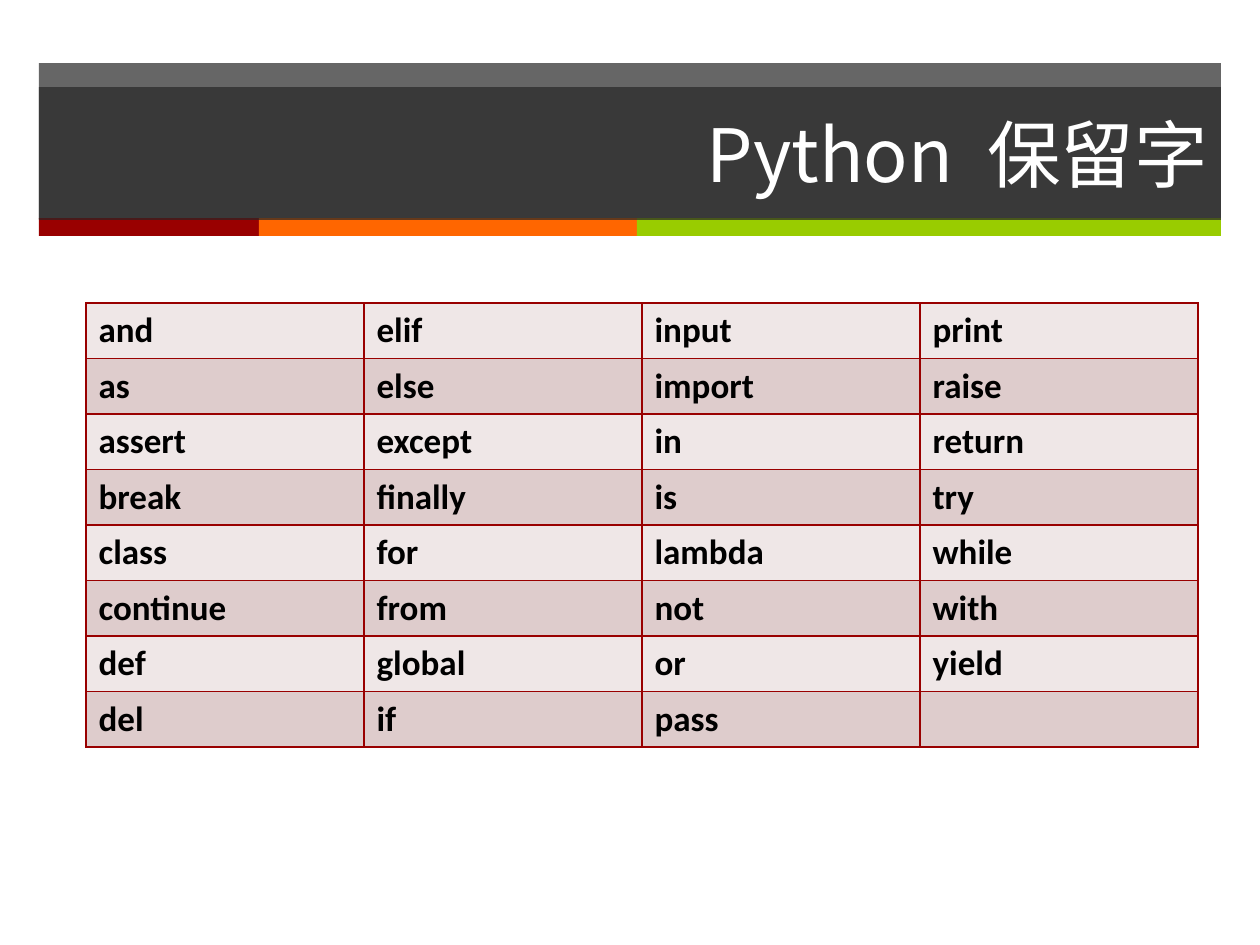
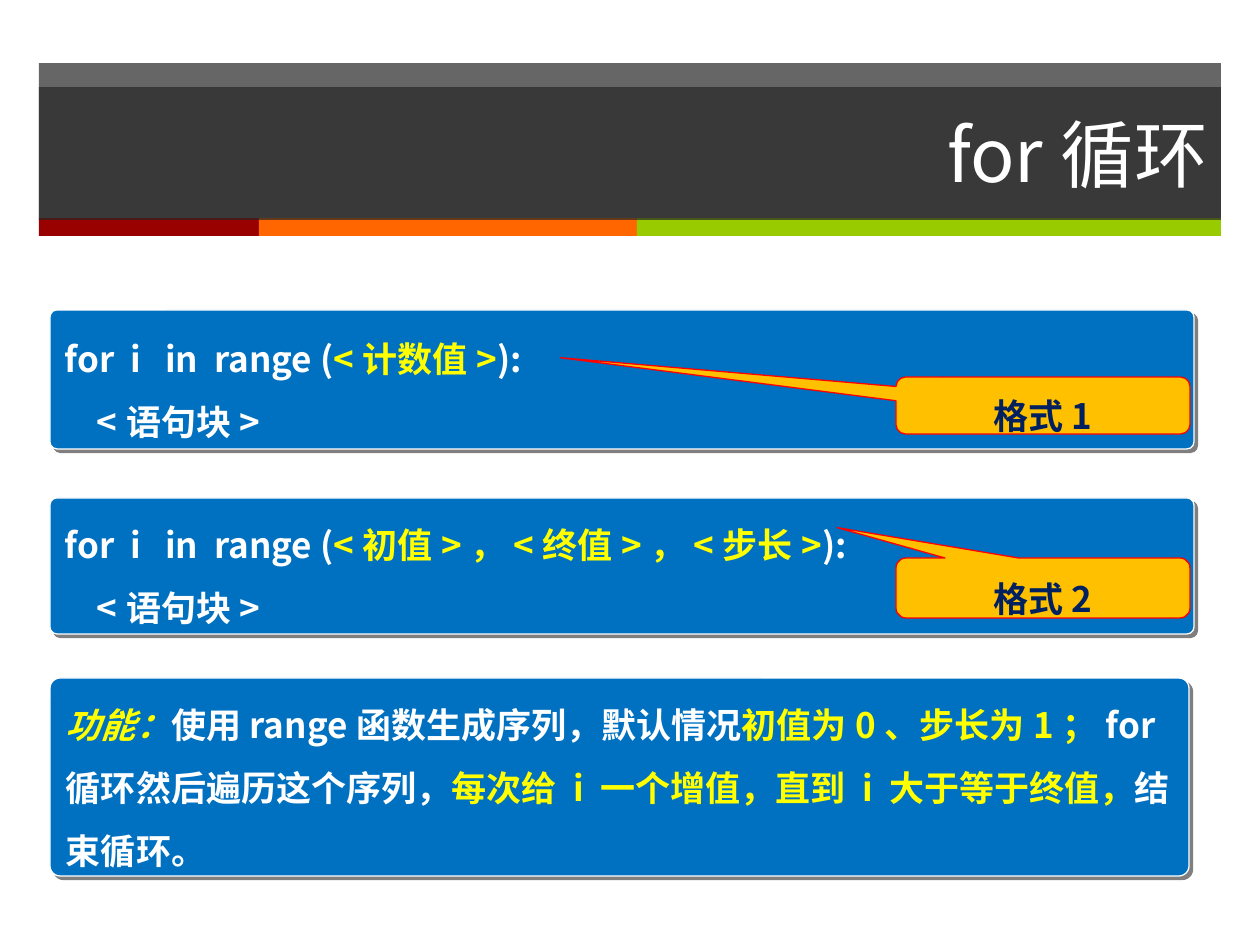
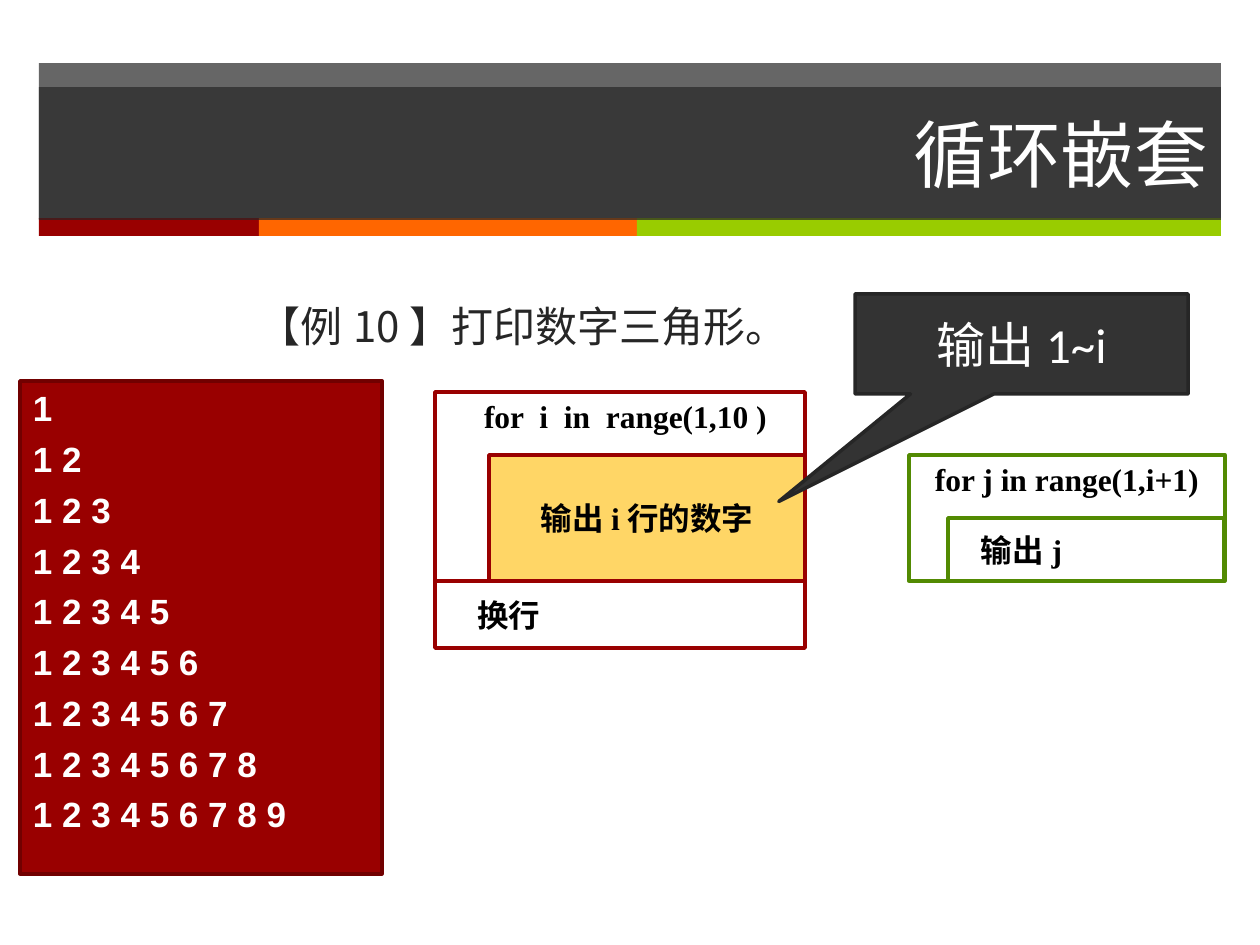
from lxml import etree
from pptx import Presentation
from pptx.dml.color import RGBColor
from pptx.enum.shapes import MSO_SHAPE
from pptx.enum.text import MSO_ANCHOR, PP_ALIGN
from pptx.oxml.ns import qn
from pptx.util import Pt

RECT = MSO_SHAPE.RECTANGLE
ROUNDED = MSO_SHAPE.ROUNDED_RECTANGLE
CALLOUT = MSO_SHAPE.RECTANGULAR_CALLOUT
ROUND_CALLOUT = MSO_SHAPE.ROUNDED_RECTANGULAR_CALLOUT
TOP, MIDDLE = MSO_ANCHOR.TOP, MSO_ANCHOR.MIDDLE
LEFT, CENTER, RIGHT = PP_ALIGN.LEFT, PP_ALIGN.CENTER, PP_ALIGN.RIGHT

EMU_PER_PX = 914400 / 126
CJK, SANS, ARIAL, SERIF = "Noto Sans CJK SC", "Calibri", "Arial", "Times New Roman"
COLORS = {
    "white": "FFFFFF", "black": "000000", "ink": "262626", "charcoal": "333333",
    "red": "990000", "dark red": "710000", "orange": "FF6600", "lime": "99CC00",
    "green": "528A02", "blue": "0070C0", "navy": "002060", "yellow": "FFFF00",
    "amber": "FFC000", "bright red": "FF0000", "sand": "FFD666",
    "light row": "EFE7E7", "dark row": "DECCCC",
}
STRIPS = [("red", 220), ("orange", 378), ("lime", 584)]
BAND_LEFT, BAND_WIDTH = 39, 1182


def px(n):
    return round(n * EMU_PER_PX)


def rgb(name):
    return RGBColor.from_string(COLORS[name])


def sub(parent, tag, **attrs):
    return etree.SubElement(parent, qn(tag), attrs)


class Deck:
    def __init__(self):
        self.prs = Presentation()
        self.prs.slide_width, self.prs.slide_height = px(1260), px(945)
        self.s = None

    def slide(self, title):
        """Start a slide with the shared title band and colour strips."""
        self.s = self.prs.slides.add_slide(self.prs.slide_layouts[6])
        self.box(BAND_LEFT, 63, BAND_WIDTH, 156, "ink", alpha=70)
        x = BAND_LEFT
        for color, w in STRIPS:
            self.box(x, 218, w, 18, color)
            x += w
        sp = self.box(BAND_LEFT, 87, BAND_WIDTH, 133, "ink", alpha=70)
        self.text(sp, [title], 42, "white", align=RIGHT)

    def box(self, x, y, w, h, fill, line=None, width=2, kind=RECT, adj=(), alpha=None):
        sp = self.s.shapes.add_shape(kind, px(x), px(y), px(w), px(h))
        sp.shadow.inherit = False
        for i, value in enumerate(adj):
            sp.adjustments[i] = value
        sp.fill.solid()
        sp.fill.fore_color.rgb = rgb(fill)
        if alpha:
            color = sp.fill._xPr.find(".//" + qn("a:srgbClr"))
            sub(color, "a:alpha", val=str(alpha * 1000))
        if line:
            sp.line.color.rgb = rgb(line)
            sp.line.width = Pt(width)
        else:
            sp.line.fill.background()
        return sp

    def text_box(self, x, y, w, h, *args, **style):
        sp = self.s.shapes.add_textbox(px(x), px(y), px(w), px(h))
        self.text(sp, *args, **style)

    def text(self, sp, paragraphs, size, color, font=CJK, bold=False, align=LEFT,
             anchor=MIDDLE, inset=(13, 6), spacing=None, before=0, indents=()):
        """Fill a shape; a paragraph is a string or a list of (text, colour, italic) runs."""
        tf = sp.text_frame
        tf.word_wrap = True
        tf.vertical_anchor = anchor
        tf.margin_left = tf.margin_right = px(inset[0])
        tf.margin_top = tf.margin_bottom = px(inset[1])
        for i, runs in enumerate(paragraphs):
            p = tf.paragraphs[0] if i == 0 else tf.add_paragraph()
            p.alignment = align
            p.space_before = Pt(before)
            if spacing:
                p.line_spacing = spacing
            if i < len(indents):
                p._p.get_or_add_pPr().set("marL", str(px(indents[i])))
            if isinstance(runs, str):
                runs = [(runs, color, False)]
            for content, run_color, italic in runs:
                r = p.add_run()
                r.text = content
                self.format(r, size, run_color, font, bold, italic)

    def format(self, r, size, color, font, bold=False, italic=False):
        r.font.size = Pt(size)
        r.font.bold, r.font.italic = bold, italic
        r.font.name = font
        r.font.color.rgb = rgb(color)
        sub(r._r.get_or_add_rPr(), "a:ea", typeface=CJK)

    def panel(self, y, w, h, paragraphs, indents=()):
        """Blue rounded panel with a hard shadow."""
        sp = self.box(50, y, w, h, "blue", "white", 0.75, ROUNDED, [0.051])
        effects = sp._element.spPr.find(qn("a:effectLst"))
        shadow = sub(effects, "a:outerShdw", dist=str(Pt(2.8)), dir="2700000",
                     algn="ctr", rotWithShape="0")
        sub(sub(shadow, "a:srgbClr", val=COLORS["black"]), "a:alpha", val="50000")
        self.text(sp, paragraphs, 20, "white", bold=True, spacing=1.5, indents=indents)

    def format_label(self, y, h, label, tip):
        sp = self.box(896, y, 294, h, "amber", "bright red", 0.75, ROUND_CALLOUT,
                      [*tip, 0.167])
        self.text(sp, [label], 20, "navy", bold=True, align=CENTER, spacing=1.5)

    def block(self, x, y, w, h, line, label, fill="white", **style):
        """Cell of a structure diagram."""
        sp = self.box(x, y, w, h, fill, line)
        self.text(sp, [label], 18, "black", SERIF, True, inset=(10, 5), **style)

    def table(self, x, y, col_w, row_h, rows):
        n = len(rows[0])
        frame = self.s.shapes.add_table(len(rows), n, px(x), px(y),
                                        px(col_w * n), px(row_h * len(rows)))
        for i, row in enumerate(rows):
            frame.table.rows[i].height = px(row_h)
            for j, word in enumerate(row):
                cell = frame.table.cell(i, j)
                cell.text = word
                cell.vertical_anchor = MIDDLE
                cell.fill.solid()
                cell.fill.fore_color.rgb = rgb("dark row" if i % 2 else "light row")
                self.borders(cell, "red")
                for r in cell.text_frame.paragraphs[0].runs:
                    self.format(r, 20, "black", SANS, bold=True)
        for col in frame.table.columns:
            col.width = px(col_w)

    def borders(self, cell, color):
        tcPr = cell._tc.get_or_add_tcPr()
        for i, side in enumerate("LRTB"):
            ln = etree.Element(qn("a:ln" + side), w=str(Pt(1)))
            sub(sub(ln, "a:solidFill"), "a:srgbClr", val=COLORS[color])
            tcPr.insert(i, ln)


def reserved_words(deck):
    deck.slide("Python 保留字")
    columns = [
        "and as assert break class continue def del",
        "elif else except finally for from global if",
        "input import in is lambda not or pass",
        "print raise return try while with yield",
    ]
    words = [column.split() for column in columns]
    rows = [[w[i] if i < len(w) else "" for w in words] for i in range(8)]
    deck.table(86, 303, 278, 55, rows)


def for_loop(deck):
    def syntax(arguments):
        return [[("for  i   in  range (", "white", False), (arguments, "yellow", False),
                 ("):", "white", False)], "<语句块>"]

    deck.slide("for循环")
    deck.panel(310, 1144, 139, syntax("<计数值>"), indents=(0, 32))
    deck.format_label(377, 57, "格式1", (-1.642, -0.839))
    deck.panel(498, 1144, 136, syntax("<初值>，<终值>，<步长>"), indents=(0, 32))
    deck.panel(678, 1139, 198, [[
        ("功能：", "yellow", True),
        ("使用range函数生成序列，默认情况", "white", False),
        ("初值为0、步长为1；", "yellow", False),
        ("for循环然后遍历这个序列，", "white", False),
        ("每次给 i 一个增值，直到 i 大于等于终值，", "yellow", False),
        ("结束循环。", "white", False),
    ]])
    deck.format_label(558, 60, "格式2", (-0.7, -1.006))


def nested_loops(deck):
    deck.slide("循环嵌套")
    deck.text_box(246, 294, 975, 551, ["【例10】打印数字三角形。"], 24, "ink", anchor=TOP)

    triangle = [" ".join(str(j) for j in range(1, i + 1)) for i in range(1, 10)]
    sp = deck.box(20, 381, 362, 493, "red", "dark red")
    deck.text(sp, triangle, 20, "white", ARIAL, True, anchor=TOP, before=5)

    deck.block(435, 392, 370, 189, "red", "for  i  in  range(1,10 )", anchor=TOP, indents=[39])
    deck.block(489, 455, 316, 126, "red", "输出i行的数字", "sand", align=CENTER)
    deck.block(435, 581, 370, 67, "red", "换行", indents=[32])

    sp = deck.box(855, 294, 333, 100, "charcoal", "ink", kind=CALLOUT, adj=[-0.729, 1.575])
    deck.text(sp, ["输出1~i"], 28, "white", SANS, align=CENTER)

    deck.block(909, 455, 316, 126, "green", "for j in range(1,i+1)", anchor=TOP, align=CENTER)
    deck.block(948, 518, 276, 63, "green", "输出j", indents=[23])


def main():
    deck = Deck()
    reserved_words(deck)
    for_loop(deck)
    nested_loops(deck)
    deck.prs.save("out.pptx")


if __name__ == "__main__":
    main()
